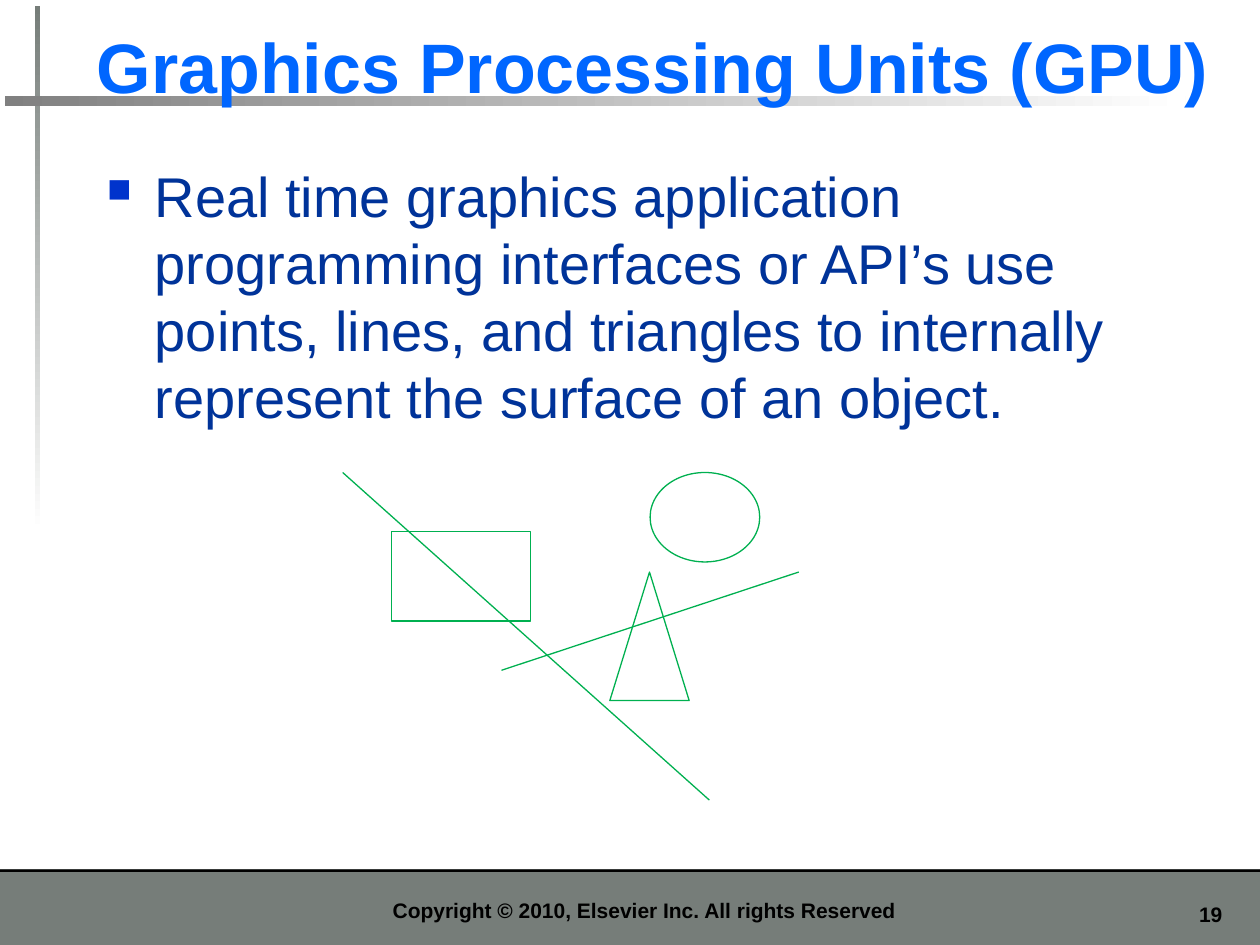
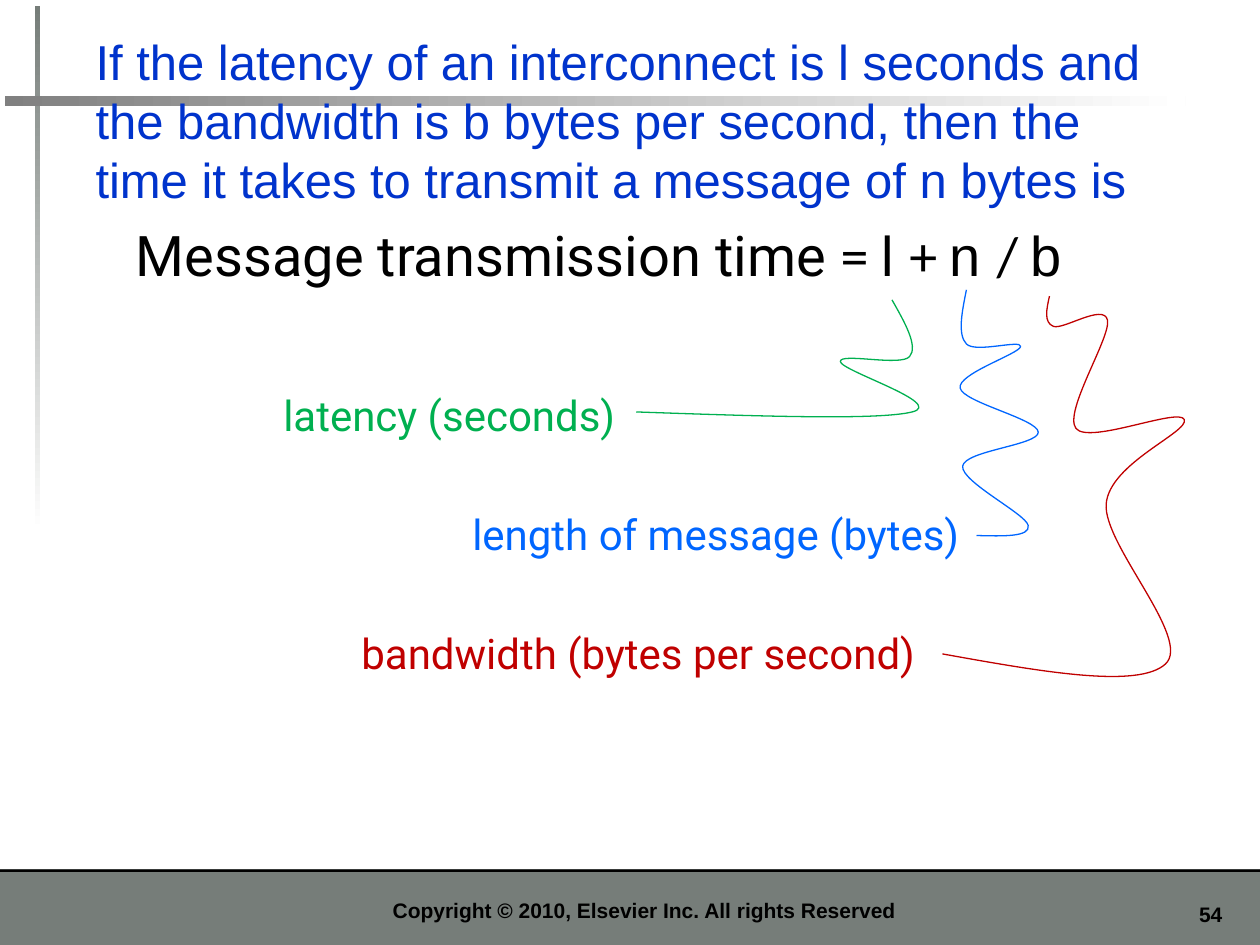
from lxml.etree import SubElement
from pptx import Presentation
from pptx.dml.color import RGBColor
from pptx.enum.shapes import MSO_CONNECTOR, MSO_SHAPE
from pptx.enum.text import MSO_ANCHOR, PP_ALIGN
from pptx.oxml.ns import qn
from pptx.util import Inches, Pt

BLACK = RGBColor(0x00, 0x00, 0x00)
WHITE = RGBColor(0xFF, 0xFF, 0xFF)
BAND = RGBColor(0x76, 0x7D, 0x79)
RULE_GREY = RGBColor(0x80, 0x80, 0x80)
BRIGHT_BLUE = RGBColor(0x00, 0x66, 0xFF)
DEEP_BLUE = RGBColor(0x00, 0x33, 0xCC)
NAVY = RGBColor(0x00, 0x33, 0x99)
GREEN = RGBColor(0x00, 0xB0, 0x50)
RED = RGBColor(0xC0, 0x00, 0x00)

WIDTH, HEIGHT = 10, 7.5
BAND_HEIGHT = 0.08 * HEIGHT
BAND_TOP = HEIGHT - BAND_HEIGHT

COPYRIGHT = "Copyright © 2010, Elsevier Inc. All rights Reserved"
GPU_TITLE = "Graphics Processing Units (GPU)"
GPU_POINT = ("Real time graphics application programming interfaces or API’s use points, "
             "lines, and triangles to internally represent the surface of an object.")
PRIMITIVES = [
    (MSO_SHAPE.ISOSCELES_TRIANGLE, (4.84, 4.54, 0.63, 1.02)),
    (MSO_SHAPE.RECTANGLE, (3.11, 4.22, 1.1, 0.71)),
    (MSO_SHAPE.OVAL, (5.16, 3.75, 0.87, 0.71)),
]
LINES = [(3.98, 5.32, 6.34, 4.54), (2.72, 3.75, 5.63, 6.35)]

LATENCY_QUESTION = ("If the latency of an interconnect is l seconds and the bandwidth is b bytes "
                    "per second, then the time it takes to transmit a message of n bytes is")
FORMULA = [("Message transmission time ", "Roboto"), ("= ", "Calibri"), ("l ", "Arial"),
           ("+ ", "Calibri"), ("n ", "Arial"), ("/ ", "Calibri"), ("b", "Arial")]
TERMS = [
    ("latency (seconds)", GREEN, (2.15, 3.04, 2.88, 0.5),
     [(5.05, 3.27), (7.24, 3.27), (6.67, 2.87), (7.22, 2.83), (7.08, 2.38)]),
    ("length of message (bytes)", BRIGHT_BLUE, (3.65, 3.99, 4.23, 0.5),
     [(7.75, 4.25), (8.16, 4.17), (7.64, 3.7), (8.24, 3.43), (7.62, 3.08),
      (8.1, 2.75), (7.67, 2.73), (7.67, 2.3)]),
    ("bandwidth (bytes per second)", RED, (2.77, 4.93, 4.83, 0.5),
     [(7.48, 5.19), (9.25, 5.27), (8.78, 4), (9.4, 3.33), (8.54, 3.4),
      (8.79, 2.54), (8.36, 2.59), (8.33, 2.35)]),
]

FOOTER_FONT = {"size": Pt(12), "name": "Arial", "bold": True}
TITLE_FONT = {"size": Pt(40), "name": "Arial", "bold": True}
POINT_FONT = {"size": Pt(32), "name": "Arial"}
QUESTION_FONT = {"size": Pt(28), "name": "Arial"}
TERM_FONT = {"size": Pt(24), "name": "Roboto"}


def inches(lengths):
    return [Inches(length) for length in lengths]


def add_text(slide, place, runs, font, color, align=PP_ALIGN.LEFT,
             anchor=MSO_ANCHOR.TOP, wrap=True, bullet=None):
    frame = slide.shapes.add_textbox(*inches(place)).text_frame
    frame.word_wrap = wrap
    frame.vertical_anchor = anchor
    paragraph = frame.paragraphs[0]
    paragraph.alignment = align
    if bullet:
        add_bullet(paragraph, bullet)
    for words, face in runs:
        run = paragraph.add_run()
        run.text = words
        for key, value in {**font, "name": face or font["name"]}.items():
            setattr(run.font, key, value)
        run.font.color.rgb = color


def add_bullet(paragraph, color):
    properties = paragraph._p.get_or_add_pPr()
    properties.set("marL", str(Inches(0.38)))
    properties.set("indent", str(-Inches(0.38)))
    SubElement(SubElement(properties, qn("a:buClr")), qn("a:srgbClr"), val=str(color))
    SubElement(properties, qn("a:buSzPct"), val="60000")
    SubElement(properties, qn("a:buChar"), char="■")


def add_bar(slide, place, start, end=None):
    bar = slide.shapes.add_shape(MSO_SHAPE.RECTANGLE, *inches(place))
    bar.shadow.inherit = False
    bar.line.fill.background()
    if end is None:
        bar.fill.solid()
        bar.fill.fore_color.rgb = start
        return
    bar.fill.gradient()
    bar.fill.gradient_angle = 270 if place[3] > place[2] else 0
    for stop, color in zip(bar.fill.gradient_stops, (start, end)):
        stop.color.rgb = color


def outline(figure, color):
    figure.line.color.rgb = color
    figure.line.width = Pt(0.75)


def add_outlined(slide, kind, place, color):
    figure = slide.shapes.add_shape(kind, *inches(place))
    figure.shadow.inherit = False
    figure.fill.background()
    outline(figure, color)


def add_line(slide, ends, color):
    line = slide.shapes.add_connector(MSO_CONNECTOR.STRAIGHT, *inches(ends))
    outline(line, color)
    SubElement(line._element.spPr, qn("a:effectLst"))


def between(a, b):
    return tuple((p + q) / 2 for p, q in zip(a, b))


def curve_controls(knots):
    slopes = [tuple((q - p) / 6 for p, q in zip(before, after))
              for before, after in zip(knots, knots[2:])]
    arriving = [tuple(k - s for k, s in zip(*pair)) for pair in zip(knots[1:], slopes)]
    leaving = [tuple(k + s for k, s in zip(*pair)) for pair in zip(knots[1:], slopes)]
    leaving.insert(0, between(knots[0], arriving[0]))
    arriving.append(between(leaving[-1], knots[-1]))
    return [point for step in zip(leaving, arriving, knots[1:]) for point in step]


def add_curve(slide, knots, color):
    start, *controls = [inches(point) for point in [knots[0], *curve_controls(knots)]]
    builder = slide.shapes.build_freeform(*start)
    builder.add_line_segments(controls, close=False)
    curve = builder.convert_to_shape()
    curve.shadow.inherit = False
    curve.fill.background()
    outline(curve, color)
    outline_path = curve._element.find(".//" + qn("a:path"))
    segments = outline_path.findall(qn("a:lnTo"))
    for first in range(0, len(segments), 3):
        bezier = SubElement(outline_path, qn("a:cubicBezTo"))
        for segment in segments[first:first + 3]:
            bezier.append(segment[0])
            outline_path.remove(segment)


def start_slide(deck, number):
    slide = deck.slides.add_slide(deck.slide_layouts[6])
    add_bar(slide, (0, BAND_TOP, WIDTH, BAND_HEIGHT), BAND)
    add_bar(slide, (0, BAND_TOP, WIDTH, 0.02), BLACK)
    add_bar(slide, (0.28, 0.05, 0.04, 4.17), BAND, WHITE)
    add_bar(slide, (0.04, 0.76, 9.37, 0.08), RULE_GREY, WHITE)
    add_text(slide, (9.17, 7.11, 0.63, 0.3), [(str(number), None)], FOOTER_FONT, BLACK,
             PP_ALIGN.RIGHT)
    add_text(slide, (1.14, 6.98, 7.95, 0.39), [(COPYRIGHT, None)], FOOTER_FONT, BLACK,
             PP_ALIGN.CENTER, MSO_ANCHOR.BOTTOM)
    return slide


def build_gpu_slide(deck):
    slide = start_slide(deck, 19)
    add_text(slide, (0.67, 0.13, 9.06, 0.77), [(GPU_TITLE, None)], TITLE_FONT, BRIGHT_BLUE,
             anchor=MSO_ANCHOR.BOTTOM)
    add_text(slide, (0.75, 1.23, 9.04, 5.59), [(GPU_POINT, None)], POINT_FONT, NAVY,
             bullet=DEEP_BLUE)
    for kind, place in PRIMITIVES:
        add_outlined(slide, kind, place, GREEN)
    for ends in LINES:
        add_line(slide, ends, GREEN)


def build_latency_slide(deck):
    slide = start_slide(deck, 54)
    add_text(slide, (0.66, 0.2, 8.81, 1.5), [(LATENCY_QUESTION, None)], QUESTION_FONT, DEEP_BLUE)
    add_text(slide, (0.98, 1.7, 7.95, 1.17), FORMULA, POINT_FONT, BLACK)
    for words, color, place, knots in TERMS:
        add_text(slide, place, [(words, None)], TERM_FONT, color, wrap=False)
        add_curve(slide, knots, color)


def main():
    deck = Presentation()
    deck.slide_width, deck.slide_height = inches((WIDTH, HEIGHT))
    build_gpu_slide(deck)
    build_latency_slide(deck)
    deck.save("out.pptx")


if __name__ == "__main__":
    main()
